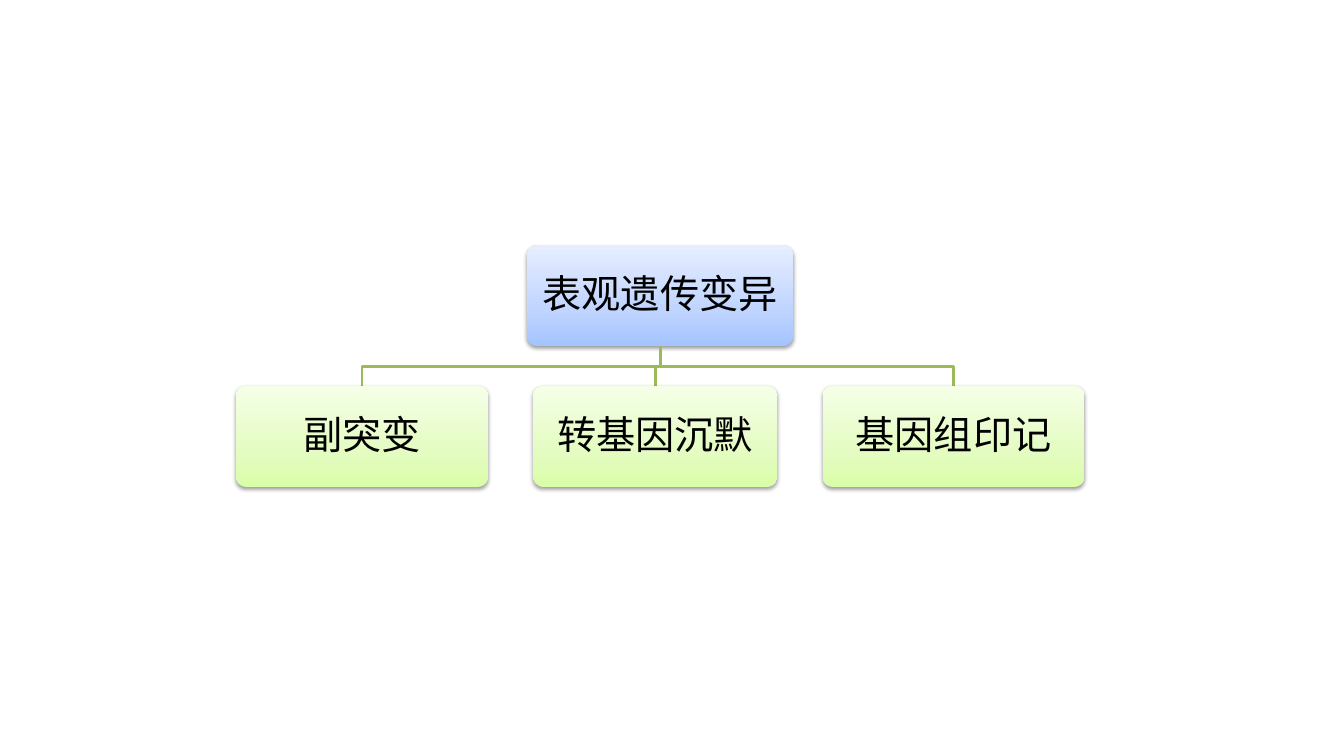
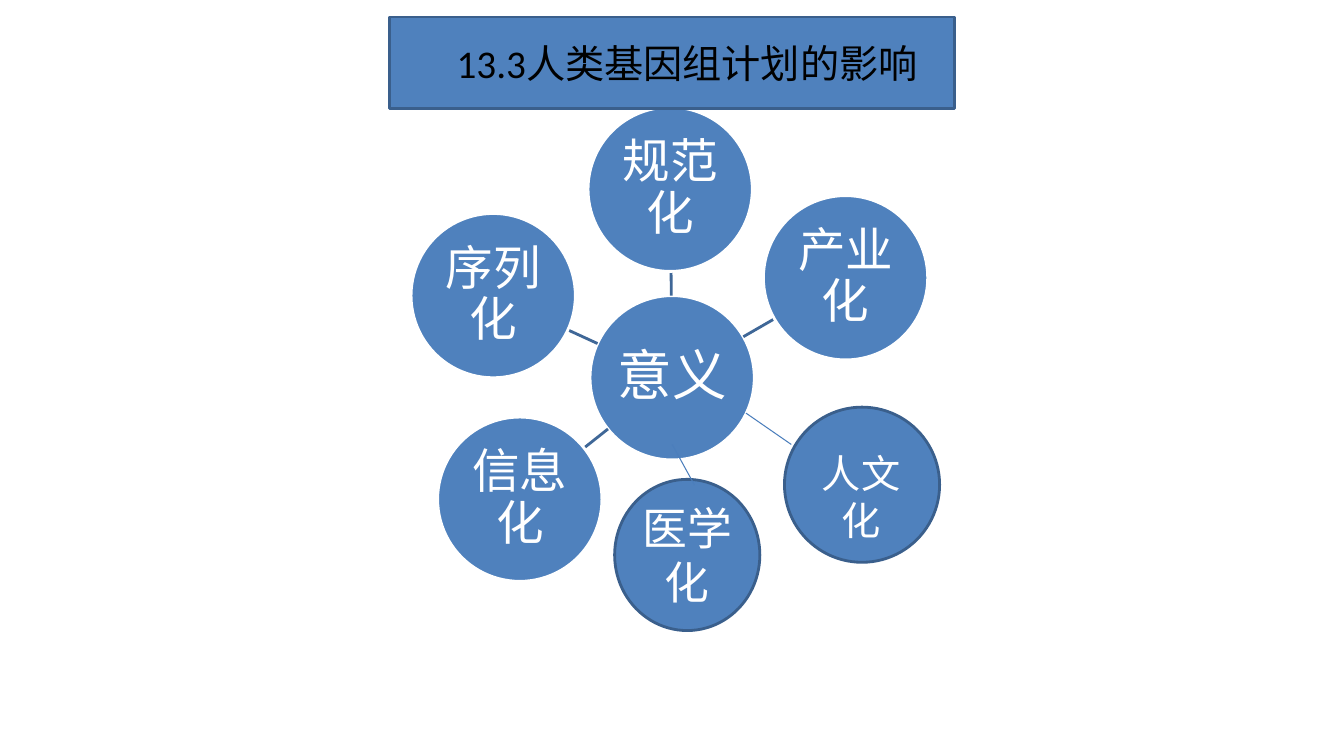
import copy
import math

import lxml.etree
import pptx
import pptx.dml.color
import pptx.enum.shapes
import pptx.enum.text
import pptx.oxml.ns
import pptx.util

Cm = pptx.util.Cm
Pt = pptx.util.Pt
RGB = pptx.dml.color.RGBColor.from_string
SHAPE = pptx.enum.shapes.MSO_SHAPE
ALIGN = pptx.enum.text.PP_ALIGN
qn = pptx.oxml.ns.qn

COLORS = {
    "black": "000000",
    "white": "FFFFFF",
    "blue": "4F81BD",
    "outline": "3A5F8C",
    "spoke": "3F6797",
    "thin": "4B7EBC",
    "branch": "9BBB59",
}
GRADIENTS = {
    "blue": ("A4C4FF", "BFD4FF", "E6EEFF"),
    "green": ("DAFDA7", "E4FCC2", "F5FFE7"),
}
FONT = "Calibri"


def add_box(slide, kind, x, y, w, h, text, size, color, inset, spacing=1.0, outline=None):
    s = slide.shapes.add_shape(kind, Cm(x), Cm(y), Cm(w), Cm(h))
    s.shadow.inherit = False
    s.fill.solid()
    s.fill.fore_color.rgb = RGB(COLORS["blue"])
    if outline:
        s.line.color.rgb = RGB(COLORS[outline])
        s.line.width = Pt(2)
    else:
        s.line.fill.background()
    tf = s.text_frame
    tf.word_wrap = True
    tf.vertical_anchor = pptx.enum.text.MSO_ANCHOR.MIDDLE
    tf.margin_left = tf.margin_right = tf.margin_top = tf.margin_bottom = Cm(inset)
    tf.text = text
    p = tf.paragraphs[0]
    p.alignment = ALIGN.CENTER
    p.line_spacing = spacing
    r = p.runs[0]
    r.font.name = FONT
    r.font.size = Pt(size)
    r.font.color.rgb = RGB(COLORS[color])
    return s


def add_line(slide, x1, y1, x2, y2, color, width=2):
    c = slide.shapes.add_connector(
        pptx.enum.shapes.MSO_CONNECTOR.STRAIGHT, Cm(x1), Cm(y1), Cm(x2), Cm(y2))
    c.line.color.rgb = RGB(COLORS[color])
    c.line.width = Pt(width)
    lxml.etree.SubElement(c._element.spPr, qn("a:effectLst"))


prs = pptx.Presentation()
prs.slide_width = Cm(33.87)
prs.slide_height = Cm(19.05)
blank = prs.slide_layouts[6]

tree = prs.slides.add_slide(blank)
box_h, gap = 2.54, 1.14
root_x, root_y, root_w = 13.28, 6.18, 6.71
child_y, bar_y = 9.73, 9.23
nodes = [("表观遗传变异", root_x, root_y, root_w, "blue")]
x = 5.95
for text, w in (("副突变", 6.35), ("转基因沉默", 6.15), ("基因组印记", 6.6)):
    nodes.append((text, x, child_y, w, "green"))
    x += w + gap

root_mid, root_bottom = root_x + root_w / 2, root_y + box_h
for text, x, y, w, gradient in nodes:
    if y == child_y:
        mid = x + w / 2
        fb = tree.shapes.build_freeform(Cm(root_mid), Cm(root_bottom))
        fb.add_line_segments(
            [(Cm(root_mid), Cm(bar_y)), (Cm(mid), Cm(bar_y)), (Cm(mid), Cm(child_y))], close=False)
        branch = fb.convert_to_shape()
        branch.shadow.inherit = False
        branch.fill.background()
        branch.line.color.rgb = RGB(COLORS["branch"])
        branch.line.width = Pt(2)

    s = add_box(tree, SHAPE.ROUNDED_RECTANGLE, x, y, w, box_h, text, 28, "black", 0.25, 0.9)
    s.adjustments[0] = 0.1
    s.fill.gradient()
    s.fill.gradient_angle = 90
    first = s.fill.gradient_stops[0]._gs
    first.addnext(copy.deepcopy(first))
    for stop, position, color in zip(s.fill.gradient_stops, (0, 0.35, 1), GRADIENTS[gradient]):
        stop.position = position
        stop.color.rgb = RGB(color)
    effects = s._element.spPr.find(qn("a:effectLst"))
    shadow = lxml.etree.SubElement(
        effects, qn("a:outerShdw"), blurRad=str(Pt(3.1)), dist=str(Pt(1.6)),
        dir="5400000", rotWithShape="0")
    tint = lxml.etree.SubElement(shadow, qn("a:srgbClr"), val=COLORS["black"])
    lxml.etree.SubElement(tint, qn("a:alpha"), val="38000")

wheel = prs.slides.add_slide(blank)
d = 4.14
hub_x, hub_y = 16.94, 9.52
add_box(wheel, SHAPE.OVAL, hub_x - d / 2, hub_y - d / 2, d, d, "意义", 39, "white", 0.05, 0.9, "white")
for text, x, y in (("规范化", 16.89, 4.77), ("产业化", 21.31, 7), ("信息化", 13.1, 12.58), ("序列化", 12.43, 7.45)):
    angle = math.atan2(y - hub_y, x - hub_x)
    dx, dy = d / 2 * math.cos(angle), d / 2 * math.sin(angle)
    add_line(wheel, hub_x + dx, hub_y + dy, x - dx, y - dy, "spoke")
    add_box(wheel, SHAPE.OVAL, x - d / 2, y - d / 2, d, d, text, 34, "white", 0.05, 0.9, "white")

add_box(wheel, SHAPE.OVAL, 15.49, 12.08, 3.66, 3.81, "医学化", 32, "white", 0.05, outline="outline")
add_line(wheel, 16.94, 11.2, 17.5, 12.22, "thin", 0.75)
s = add_box(wheel, SHAPE.OVAL, 19.77, 10.26, 3.91, 3.91, "人文化", 28, "white", 0.05, outline="outline")
s.text_frame.margin_top = Cm(0.64)
s.text_frame.margin_right = Cm(0.1)
add_line(wheel, 18.8, 10.41, 19.94, 11.2, "thin", 0.75)

title = add_box(wheel, SHAPE.RECTANGLE, 9.81, 0.43, 14.25, 2.3, "13.3人类基因组计划的影响", 28, "black", 0.05, outline="outline")
title.text_frame.margin_left = Cm(1.7)
title.text_frame.paragraphs[0].alignment = ALIGN.LEFT

prs.save("out.pptx")
